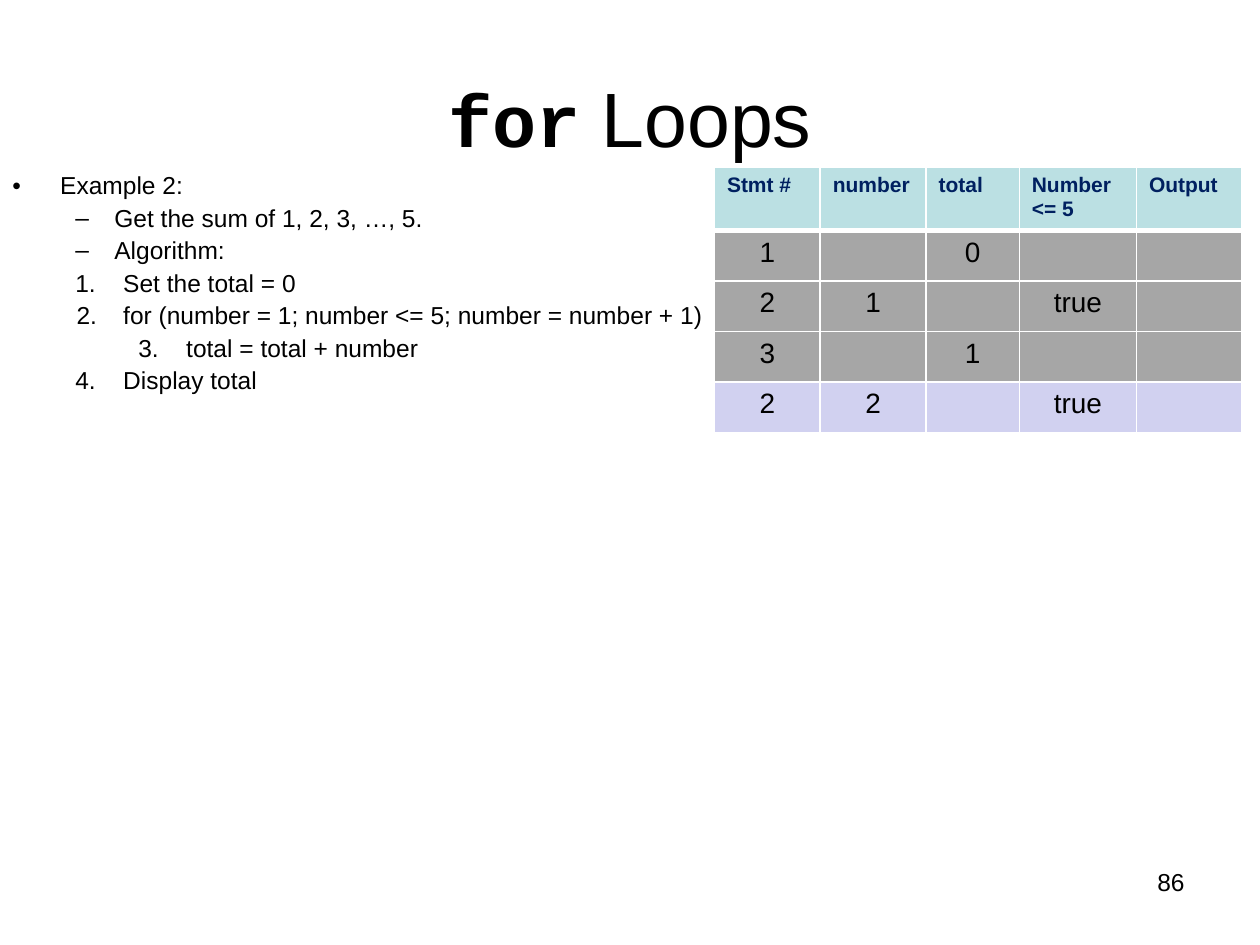
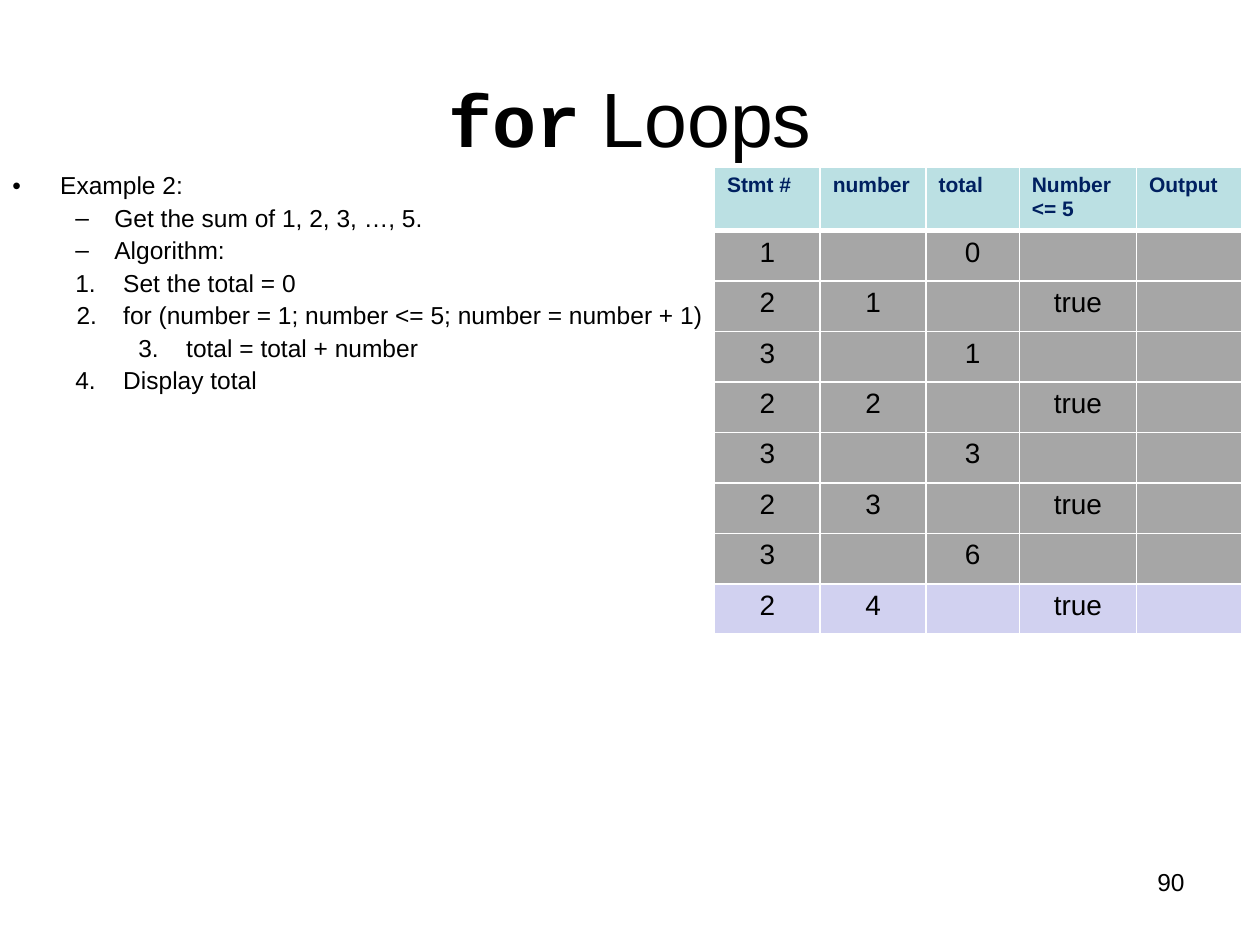
"""Build two slides that trace a for loop summing 1 to 5."""
from lxml.etree import SubElement
from pptx import Presentation
from pptx.dml.color import RGBColor
from pptx.enum.text import MSO_ANCHOR as Anchor, PP_ALIGN as Align
from pptx.oxml.ns import qn
from pptx.util import Inches, Pt

BLACK, NAVY, WHITE = "000000", "002060", "FFFFFF"
HEADER_FILL, DONE_FILL, CURRENT_FILL = "BBE0E3", "A6A6A6", "D1D1F0"
rgb = RGBColor.from_string

HEADINGS = ["Stmt #", "number", "total", "Number <= 5", "Output"]
COLUMN_WIDTHS = [0.84, 0.84, 0.74, 0.93, 0.84]
TRACE = [
    ["1", "", "0", "", ""],
    ["2", "1", "", "true", ""],
    ["3", "", "1", "", ""],
    ["2", "2", "", "true", ""],
    ["3", "", "3", "", ""],
    ["2", "3", "", "true", ""],
    ["3", "", "6", "", ""],
    ["2", "4", "", "true", ""],
]
PAGES = [("86", 4), ("90", 8)]
ALGORITHM = [
    ("Example 2:", 0, 0.38, 0.38, "•"),
    ("Get the sum of 1, 2, 3, …, 5.", 1, 0.81, 0.31, "–"),
    ("Algorithm:", 1, 0.81, 0.31, "–"),
    ("Set the total = 0", 1, 0.88, 0.38, 1),
    ("for (number = 1; number <= 5; number = number + 1)", 2, 0.88, 0.37, 2),
    ("total = total + number", 2, 1.38, 0.38, 2),
    ("Display total", 1, 0.88, 0.38, 4),
]


def write(paragraph, text, size=14, color=BLACK, bold=False, face="Arial", align=Align.LEFT):
    """Add a formatted run to a paragraph."""
    paragraph.alignment = align
    run = paragraph.add_run()
    run.text = text
    run.font.size, run.font.bold, run.font.name = Pt(size), bold, face
    run.font.color.rgb = rgb(color)


def paint(cell, fill, top=1, bottom=1):
    """Give a table cell white borders and a solid fill."""
    properties = cell._tc.get_or_add_tcPr()
    for side, width in (("L", 1), ("R", 1), ("T", top), ("B", bottom)):
        line = SubElement(properties, qn(f"a:ln{side}"), w=str(Pt(width)))
        SubElement(SubElement(line, qn("a:solidFill")), qn("a:srgbClr"), val=WHITE)
    cell.fill.solid()
    cell.fill.fore_color.rgb = rgb(fill)


deck = Presentation()
deck.slide_width, deck.slide_height = Inches(10), Inches(7.5)

for page, steps in PAGES:
    slide = deck.slides.add_slide(deck.slide_layouts[5])

    title = slide.shapes.title
    title.left, title.top, title.width, title.height = map(Inches, (0.5, 0.3, 9, 1.25))
    title.text_frame.vertical_anchor = Anchor.MIDDLE
    heading = title.text_frame.paragraphs[0]
    write(heading, "for", size=42, bold=True, face="Courier New", align=Align.CENTER)
    write(heading, " Loops", size=44, align=Align.CENTER)

    algorithm = slide.shapes.add_textbox(*map(Inches, (0, 1.33, 6.2, 2.15))).text_frame
    algorithm.word_wrap = True
    for index, (text, level, margin, hanging, marker) in enumerate(ALGORITHM):
        step = algorithm.add_paragraph() if index else algorithm.paragraphs[0]
        step.level, step.line_spacing = level, 0.9
        if index:
            step.space_before = Pt(3.4)
        properties = step._p.get_or_add_pPr()
        properties.set("marL", str(Inches(margin)))
        properties.set("indent", str(-Inches(hanging)))
        if isinstance(marker, int):
            SubElement(properties, qn("a:buFont"), typeface="+mj-lt")
            SubElement(properties, qn("a:buAutoNum"), type="arabicPeriod", startAt=str(marker))
        else:
            SubElement(properties, qn("a:buFont"), typeface="Arial")
            SubElement(properties, qn("a:buChar"), char=marker)
        write(step, text)

    page_number = slide.shapes.add_textbox(*map(Inches, (7.17, 6.83, 2.33, 0.52))).text_frame
    page_number.word_wrap = True
    write(page_number.paragraphs[0], page, align=Align.RIGHT)

    trace = slide.shapes.add_table(
        steps + 1, len(HEADINGS), Inches(5.67), Inches(1.33),
        Inches(sum(COLUMN_WIDTHS)), Inches(0.48 + 0.4 * steps)).table
    trace.horz_banding = False
    for column, width in zip(trace.columns, COLUMN_WIDTHS):
        column.width = Inches(width)
    for row_index, values in enumerate([HEADINGS] + TRACE[:steps]):
        trace.rows[row_index].height = Inches(0.4 if row_index else 0.48)
        for column_index, value in enumerate(values):
            cell = trace.cell(row_index, column_index)
            entry = cell.text_frame.paragraphs[0]
            if row_index == 0:
                paint(cell, HEADER_FILL, bottom=3)
                write(entry, value, size=12, color=NAVY, bold=True)
                continue
            paint(cell, CURRENT_FILL if row_index == steps else DONE_FILL,
                  top=3 if row_index == 1 else 1)
            if value:
                write(entry, value, size=16, align=Align.CENTER)

deck.save("out.pptx")
